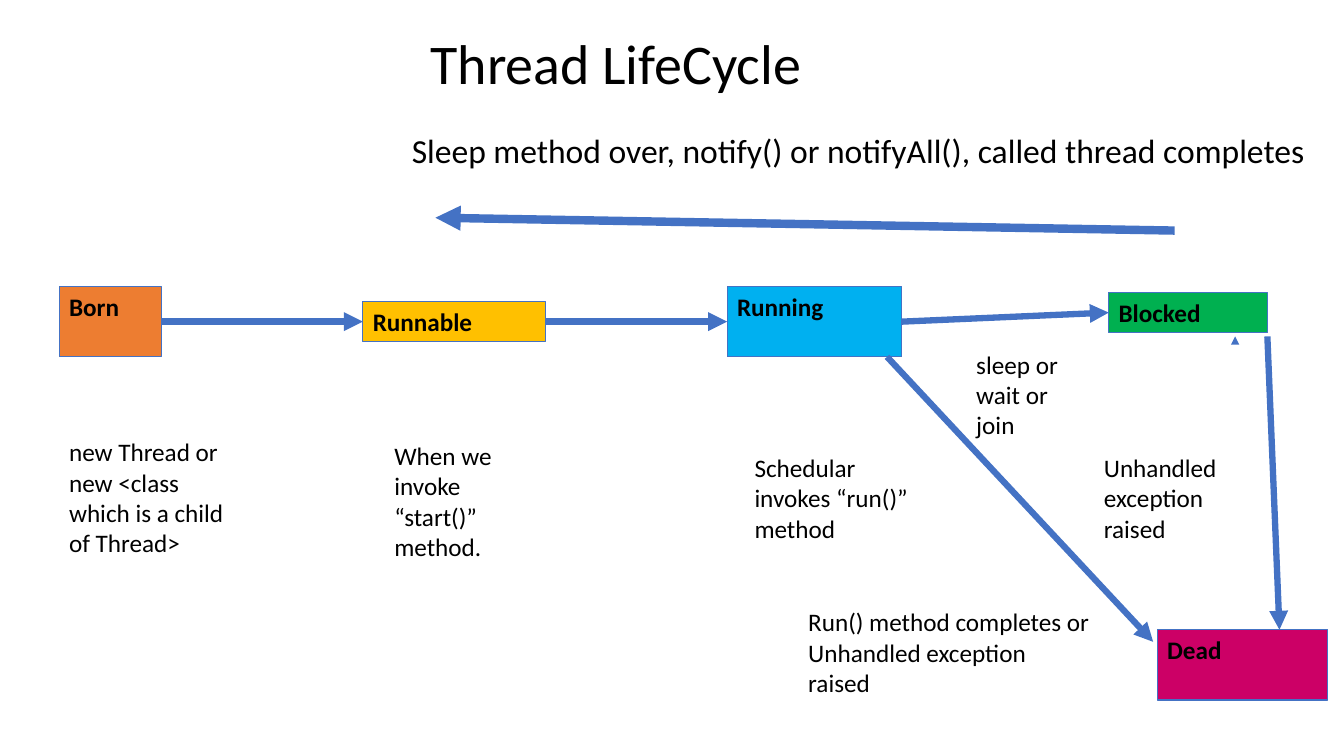
from pptx import Presentation
from pptx.dml.color import RGBColor
from pptx.enum.shapes import MSO_CONNECTOR as Link, MSO_SHAPE as Form
from pptx.enum.text import MSO_ANCHOR as Anchor, PP_ALIGN as Align
from pptx.oxml.ns import qn
from pptx.util import Inches, Pt
from lxml.etree import SubElement

WIDE, HIGH = 13.34, 7.5
BLUE, BLACK = "4472C4", "000000"
LEFT, RIGHT = 1, 3

STATES = {
    "Born": ((4.4, 37.9, 7.6, 9.3), "ED7D31"),
    "Runnable": ((27, 39.9, 13.6, 5.3), "FFC000"),
    "Running": ((54.1, 37.9, 13, 9.3), "00B0F0"),
    "Blocked": ((82.5, 38.7, 11.8, 5.3), "00B050"),
    "Dead": ((86.1, 83.3, 12.7, 9.3), "CC0066"),
}

NOTES = [
    ("Thread LifeCycle", (31.3, 3.1, 29.4, 10.3), 40),
    ("Sleep method over, notify() or notifyAll(), called thread completes",
     (29.9, 16.5, 68.2, 12), 24),
    ("new Thread or new <class which is a child of Thread>",
     (4.4, 57.1, 14.3, 17.3), 18),
    ("When we invoke “start()” method.", (28.6, 57.6, 11.4, 17.3), 18),
    ("Schedular invokes “run()” method", (55.4, 59.2, 14.2, 13.3), 18),
    ("sleep or\nwait or\njoin", (71.9, 45.5, 7.9, 13.3), 18),
    ("Unhandled exception raised", (81.4, 59.2, 10.1, 13.3), 18),
    ("Run() method completes or\nUnhandled exception raised",
     (59.4, 79.6, 22.6, 17.3), 18),
]

ARROWS = [
    ((66, 47.2), (85.8, 84.9), 4.5),
    ((91.9, 44.9), (91.9, 44.5), 0.5),
    ((94.3, 44.5), (95.2, 83.3), 4.5),
    ((87.4, 30.5), (32.4, 28.8), 6),
]


def tint(code):
    """Turn a hex string into a colour."""
    return RGBColor.from_string(code)


def place(*shares):
    """Turn x, y pairs in percent of the slide into lengths."""
    sides = (WIDE, HIGH) * (len(shares) // 2)
    return [Inches(side * share / 100) for side, share in zip(sides, shares)]


def write(shape, text, size, bold=False):
    """Set black, wrapped, left-aligned text on a shape."""
    frame = shape.text_frame
    frame.text = text
    frame.word_wrap = True
    frame.vertical_anchor = Anchor.TOP
    for para in frame.paragraphs:
        para.alignment = Align.LEFT
        for run in para.runs:
            font = run.font
            font.name, font.size, font.bold = "Calibri", Pt(size), bold
            font.color.rgb = tint(BLACK)


def note(slide, text, area, size):
    """Add a plain text box."""
    write(slide.shapes.add_textbox(*place(*area)), text, size)


def state(slide, name, area, fill):
    """Add the box of one thread state."""
    box = slide.shapes.add_shape(Form.RECTANGLE, *place(*area))
    box.shadow.inherit = False
    box.fill.solid()
    box.fill.fore_color.rgb = tint(fill)
    box.line.color.rgb = tint(BLUE)
    box.line.width = Pt(0.75)
    write(box, name, 18, True)
    return box


def arrow(slide, start, end, width):
    """Add a straight blue arrow between two points."""
    line = slide.shapes.add_connector(Link.STRAIGHT, *place(*start, *end))
    line.line.color.rgb = tint(BLUE)
    line.line.width = Pt(width)
    props = line._element.spPr
    SubElement(props.find(qn("a:ln")), qn("a:tailEnd"), type="triangle")
    SubElement(props, qn("a:effectLst"))
    return line


def join(slide, first, second):
    """Add an arrow from the right of one box to the left of the next."""
    line = arrow(slide, (0, 0), (0, 0), 4.5)
    line.begin_connect(first, RIGHT)
    line.end_connect(second, LEFT)


def main():
    """Build the thread life cycle slide."""
    deck = Presentation()
    deck.slide_width, deck.slide_height = Inches(WIDE), Inches(HIGH)
    slide = deck.slides.add_slide(deck.slide_layouts[6])
    boxes = [state(slide, name, *look) for name, look in STATES.items()]
    chain = boxes[:4]
    for first, second in zip(chain, chain[1:]):
        join(slide, first, second)
    for item in ARROWS:
        arrow(slide, *item)
    for item in NOTES:
        note(slide, *item)
    deck.save("out.pptx")


if __name__ == "__main__":
    main()
